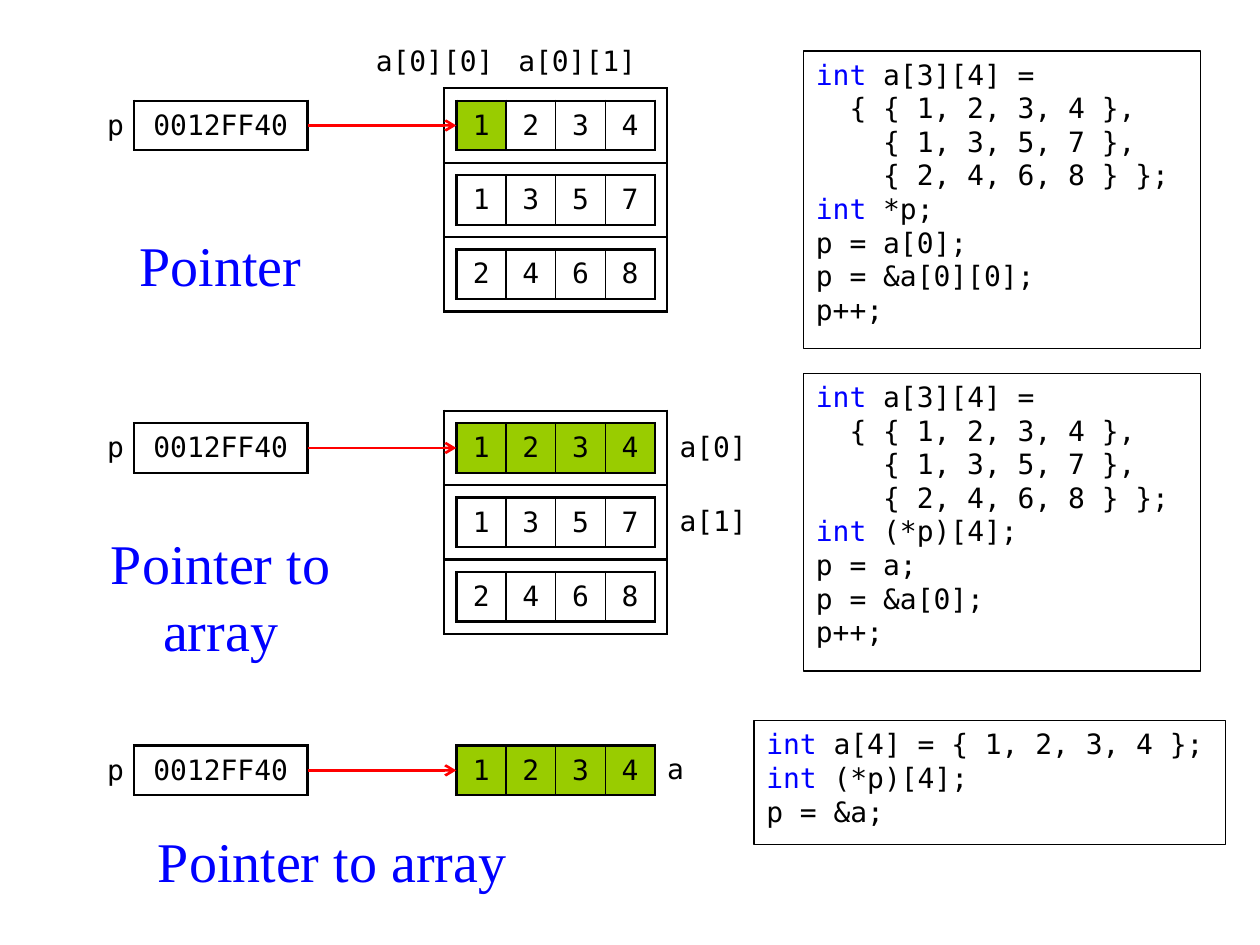
import pptx
import pptx.dml.color
import pptx.enum.shapes
import pptx.enum.text
import pptx.oxml
import pptx.oxml.ns
import pptx.util

Cm, Pt = pptx.util.Cm, pptx.util.Pt
ALIGN = pptx.enum.text.PP_ALIGN
MID = pptx.enum.text.MSO_ANCHOR.MIDDLE
COLOR = {"ink": "000000", "key": "0000FF", "mark": "99CC00", "arrow": "FF0000"}
MONO, SERIF = "DejaVu Sans Mono", "Times New Roman"
THIN, BOLD = 0.75, 1.5

# All lengths are in centimetres; one number cell is one unit square.
FIRST, STEP = 2.03, 6.5        # top of the first row, gap between examples
PTR_X, GRID_X = 1.7, 9.2       # left of pointer table and of number cells
PTR_W, PAD, PITCH = [1, 3.5], 0.25, 1.5

ARRAY = [[1, 2, 3, 4], [1, 3, 5, 7], [2, 4, 6, 8]]
SETUP = ["int a[3][4] =", "  { { 1, 2, 3, 4 },", "    { 1, 3, 5, 7 },",
         "    { 2, 4, 6, 8 } };"]

# Box offsets (left, top, width, height) count from the top of the example.
CASES = [
    {"rows": ARRAY, "marked": 1, "framed": True,
     "title": ("Pointer", (2.2, 2.5, 4.5, 1.5)),
     "code": (SETUP + ["int *p;", "p = a[0];", "p = &a[0][0];", "p++;"],
              (16.2, -1, 8, 6)),
     "labels": [("a[0][0]", (7.2, -1.27, 3, 1), ALIGN.RIGHT),
                ("a[0][1]", (10.2, -1.27, 3, 1), ALIGN.LEFT)]},
    {"rows": ARRAY, "marked": 4, "framed": True,
     "title": ("Pointer to array", (0.7, 2, 7.5, 1.5)),
     "code": (SETUP + ["int (*p)[4];", "p = a;", "p = &a[0];", "p++;"],
              (16.2, -1, 8, 6)),
     "labels": [("a[0]", (13.45, 0, 2, 1), ALIGN.LEFT),
                ("a[1]", (13.45, PITCH, 2, 1), ALIGN.LEFT)]},
    {"rows": ARRAY[:1], "marked": 4, "framed": False,
     "title": ("Pointer to array", (2.7, 1.5, 8, 1.5)),
     "code": (["int a[4] = { 1, 2, 3, 4 };", "int (*p)[4];", "p = &a;"],
              (15.2, -0.5, 9.5, 2.5)),
     "labels": [("a", (13.2, 0, 1, 1), ALIGN.LEFT)]},
]

deck = pptx.Presentation()
deck.slide_width, deck.slide_height = Cm(25.4), Cm(19.05)
slide = deck.slides.add_slide(deck.slide_layouts[6])
shapes = slide.shapes


def rgb(name):
    return pptx.dml.color.RGBColor.from_string(COLOR[name])


def write(frame, lines, size=16, font=MONO, color="ink", align=ALIGN.LEFT,
          wrap=True):
    """Fill a text frame, with the keyword int in its own colour."""
    frame.word_wrap = wrap
    for i, line in enumerate(lines):
        para = frame.paragraphs[0] if i == 0 else frame.add_paragraph()
        para.alignment = align
        parts = [(line, color)]
        if line.startswith("int "):
            parts = [("int", "key"), (line[3:], color)]
        for text, tone in parts:
            run = para.add_run()
            run.text = text
            run.font.size, run.font.name = Pt(size), font
            run.font.color.rgb = rgb(tone)


def border(cell, widths):
    """Set left, right, top and bottom lines; zero means no line."""
    props = cell._tc.get_or_add_tcPr()
    for side, width in zip("LRTB", widths):
        fill = (f'<a:solidFill><a:srgbClr val="{COLOR["ink"]}"/></a:solidFill>'
                if width else "<a:noFill/>")
        props.append(pptx.oxml.parse_xml(
            f'<a:ln{side} {pptx.oxml.ns.nsdecls("a")} w="{Pt(width)}">'
            f'{fill}</a:ln{side}>'))


def grid(left, top, cols, rows):
    table = shapes.add_table(len(rows), len(cols), Cm(left), Cm(top),
                             Cm(sum(cols)), Cm(sum(rows))).table
    table.first_row = table.horz_banding = False
    for col, width in zip(table.columns, cols):
        col.width = Cm(width)
    for row, height in zip(table.rows, rows):
        row.height = Cm(height)
    return table


def dress(cell, widths, text="", fill=None, align=ALIGN.CENTER):
    border(cell, widths)
    if fill:
        cell.fill.solid()
        cell.fill.fore_color.rgb = rgb(fill)
    else:
        cell.fill.background()
    cell.vertical_anchor = MID
    cell.margin_left = cell.margin_right = Cm(0.2)
    cell.margin_top = cell.margin_bottom = Cm(0.1)
    if text:
        write(cell.text_frame, [text], align=align)


def place(box, top):
    left, down, width, height = box
    return Cm(left), Cm(top + down), Cm(width), Cm(height)


def numbers(top, values, marked):
    table, last = grid(GRID_X, top, [1] * len(values), [1]), len(values) - 1
    for i, value in enumerate(values):
        widths = (THIN if i else BOLD, BOLD if i == last else THIN, BOLD, BOLD)
        dress(table.cell(0, i), widths, str(value),
              "mark" if i < marked else None)


def pointer(top):
    table = grid(PTR_X, top, PTR_W, [1])
    dress(table.cell(0, 0), (0, BOLD, 0, 0), "p", align=ALIGN.RIGHT)
    dress(table.cell(0, 1), (BOLD,) * 4, "0012FF40")
    mid = Cm(top + 0.5)
    line = shapes.add_connector(pptx.enum.shapes.MSO_CONNECTOR.STRAIGHT,
                                Cm(PTR_X + sum(PTR_W)), mid, Cm(GRID_X), mid)
    line.line.color.rgb, line.line.width = rgb("arrow"), Pt(BOLD)
    space = pptx.oxml.ns.nsdecls("a")
    line.line._get_or_add_ln().append(
        pptx.oxml.parse_xml(f'<a:tailEnd {space} type="arrow"/>'))
    line._element.spPr.append(pptx.oxml.parse_xml(f"<a:effectLst {space}/>"))


def listing(lines, box, top):
    shape = shapes.add_shape(pptx.enum.shapes.MSO_SHAPE.RECTANGLE,
                             *place(box, top))
    shape.shadow.inherit = False
    shape.fill.background()
    shape.line.color.rgb, shape.line.width = rgb("ink"), Pt(THIN)
    shape.text_frame.vertical_anchor = pptx.enum.text.MSO_ANCHOR.TOP
    write(shape.text_frame, lines)


for n, case in enumerate(CASES):
    top, rows = FIRST + n * STEP, case["rows"]
    if case["framed"]:
        frame = grid(GRID_X - PAD, top - PAD, [len(rows[0]) + 2 * PAD],
                     [PITCH] * len(rows))
        for cell in frame.iter_cells():
            dress(cell, (BOLD,) * 4)
    for i, values in enumerate(rows):
        numbers(top + i * PITCH, values, 0 if i else case["marked"])
    pointer(top)
    listing(*case["code"], top)
    title, box = case["title"]
    write(shapes.add_textbox(*place(box, top)).text_frame, [title], size=32,
          font=SERIF, color="key", align=ALIGN.CENTER)
    for text, box, align in case["labels"]:
        write(shapes.add_textbox(*place(box, top)).text_frame, [text],
              align=align, wrap=False)

deck.save("out.pptx")
